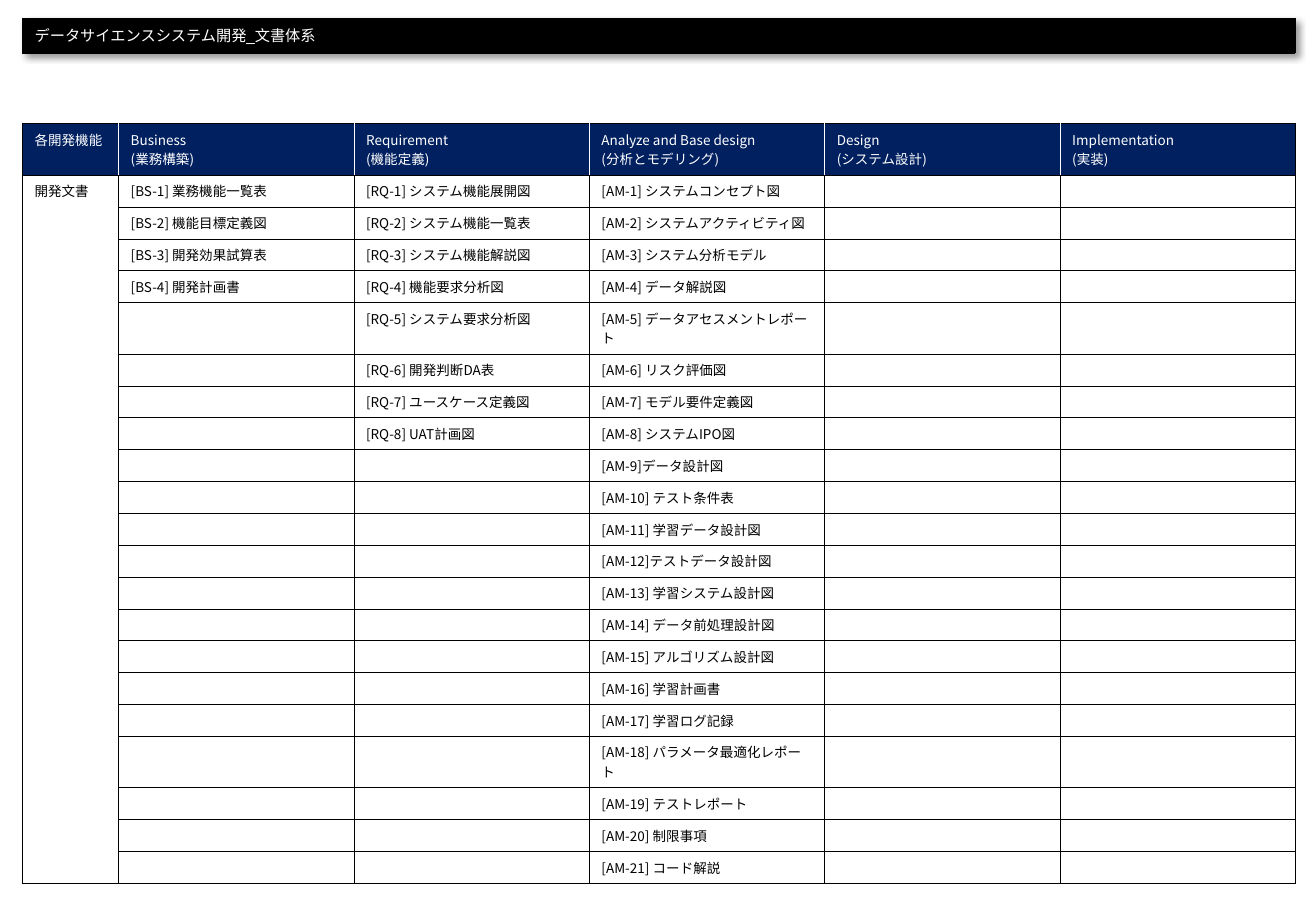
"""Build the document system slide for data science system development."""
import pptx
import pptx.util
import pptx.dml.color
import pptx.oxml
import pptx.oxml.ns
from lxml import etree

TITLE = "データサイエンスシステム開発_文書体系"
ROW_LABEL = "開発文書"
HEADERS = [
    ["各開発機能"],
    ["Business", "(業務構築)"],
    ["Requirement", "(機能定義)"],
    ["Analyze and Base design", "(分析とモデリング)"],
    ["Design", "(システム設計)"],
    ["Implementation", "(実装)"],
]
DOCUMENTS = [
    ["[BS-1] 業務機能一覧表", "[BS-2] 機能目標定義図", "[BS-3] 開発効果試算表", "[BS-4] 開発計画書"],
    ["[RQ-1] システム機能展開図", "[RQ-2] システム機能一覧表", "[RQ-3] システム機能解説図",
     "[RQ-4] 機能要求分析図", "[RQ-5] システム要求分析図", "[RQ-6] 開発判断DA表",
     "[RQ-7] ユースケース定義図", "[RQ-8] UAT計画図"],
    ["[AM-1] システムコンセプト図", "[AM-2] システムアクティビティ図", "[AM-3] システム分析モデル",
     "[AM-4] データ解説図", "[AM-5] データアセスメントレポート", "[AM-6] リスク評価図",
     "[AM-7] モデル要件定義図", "[AM-8] システムIPO図", "[AM-9]データ設計図",
     "[AM-10] テスト条件表", "[AM-11] 学習データ設計図", "[AM-12]テストデータ設計図",
     "[AM-13] 学習システム設計図", "[AM-14] データ前処理設計図", "[AM-15] アルゴリズム設計図",
     "[AM-16] 学習計画書", "[AM-17] 学習ログ記録", "[AM-18] パラメータ最適化レポート",
     "[AM-19] テストレポート", "[AM-20] 制限事項", "[AM-21] コード解説"],
    [],
    [],
]
COLORS = {"black": "000000", "white": "FFFFFF", "navy": "002060"}
JP_FONT = "Noto Sans CJK JP"
Cm, Pt = pptx.util.Cm, pptx.util.Pt
LEFT, TITLE_TOP, TITLE_W, TITLE_H = 0.47, 0.38, 26.6, 0.73
TABLE_TOP, LABEL_W, COL_W = 2.58, 2.01, 4.92
HEADER_H, ROW_H = 1.08, 0.66


def rgb(name):
    """Return the named colour."""
    return pptx.dml.color.RGBColor.from_string(COLORS[name])


def add_run(p, text, font, size, color):
    """Add one formatted run to a paragraph."""
    r = p.add_run()
    r.text = text
    r.font.name, r.font.size, r.font.bold = font, Pt(size), False
    r.font.color.rgb = rgb(color)
    ea = etree.SubElement(r.font._element, pptx.oxml.ns.qn("a:ea"))
    ea.set("typeface", JP_FONT)


def format_cell(cell, lines, font, size, color, fill=None, borders=None):
    """Give a cell its borders, fill and text."""
    sides = dict.fromkeys("LRTB", "black") | (borders or {})
    for side, border in sides.items():
        cell._tc.get_or_add_tcPr().append(pptx.oxml.parse_xml(
            f'<a:ln{side} {pptx.oxml.ns.nsdecls("a")} w="3175"><a:solidFill>'
            f'<a:srgbClr val="{COLORS[border]}"/></a:solidFill></a:ln{side}>'))
    if fill:
        cell.fill.solid()
        cell.fill.fore_color.rgb = rgb(fill)
    else:
        cell.fill.background()
    tf = cell.text_frame
    for i, line in enumerate(lines):
        p = tf.paragraphs[0] if i == 0 else tf.add_paragraph()
        add_run(p, line, font, size, color)
    if not lines:
        end = etree.SubElement(tf.paragraphs[0]._p, pptx.oxml.ns.qn("a:endParaRPr"))
        end.set("sz", str(size * 100))


def add_table(s, top, widths, heights):
    """Add a table without banding, sized by its columns and rows."""
    tbl = s.shapes.add_table(len(heights), len(widths), Cm(LEFT), Cm(top),
                             Cm(sum(widths)), Cm(sum(heights))).table
    tbl.first_row = tbl.horz_banding = False
    for column, width in zip(tbl.columns, widths):
        column.width = Cm(width)
    for row, height in zip(tbl.rows, heights):
        row.height = Cm(height)
    return tbl


def add_title(s):
    """Add the title bar, a one-cell table with a soft shadow."""
    tbl = add_table(s, TITLE_TOP, [TITLE_W], [TITLE_H])
    tbl._tbl.tblPr.insert(0, pptx.oxml.parse_xml(
        f'<a:effectLst {pptx.oxml.ns.nsdecls("a")}>'
        '<a:outerShdw blurRad="50800" dist="38100" dir="2700000" algn="tl">'
        f'<a:srgbClr val="{COLORS["black"]}"><a:alpha val="40000"/></a:srgbClr>'
        '</a:outerShdw></a:effectLst>'))
    format_cell(tbl.cell(0, 0), [TITLE], "Arial", 9, "white", "black")


def add_documents(s):
    """Add the table of documents by development phase."""
    body_rows, cols = max(map(len, DOCUMENTS)), len(HEADERS)
    tbl = add_table(s, TABLE_TOP, [LABEL_W] + [COL_W] * (cols - 1),
                    [HEADER_H] + [ROW_H] * body_rows)
    tbl.cell(1, 0).merge(tbl.cell(body_rows, 0))
    columns = [[ROW_LABEL]] + DOCUMENTS
    for c, (header, names) in enumerate(zip(HEADERS, columns)):
        borders = {"L": "white" if c else "black",
                   "R": "white" if c < cols - 1 else "black"}
        format_cell(tbl.cell(0, c), header, JP_FONT, 8, "white", "navy", borders)
        for i in range(body_rows):
            format_cell(tbl.cell(i + 1, c), names[i:i + 1], JP_FONT, 8, "black")


def main():
    """Create and save the presentation."""
    prs = pptx.Presentation()
    prs.slide_width, prs.slide_height = Cm(27.51), Cm(19.05)
    s = prs.slides.add_slide(prs.slide_layouts[6])
    add_title(s)
    add_documents(s)
    prs.save("out.pptx")


if __name__ == "__main__":
    main()
